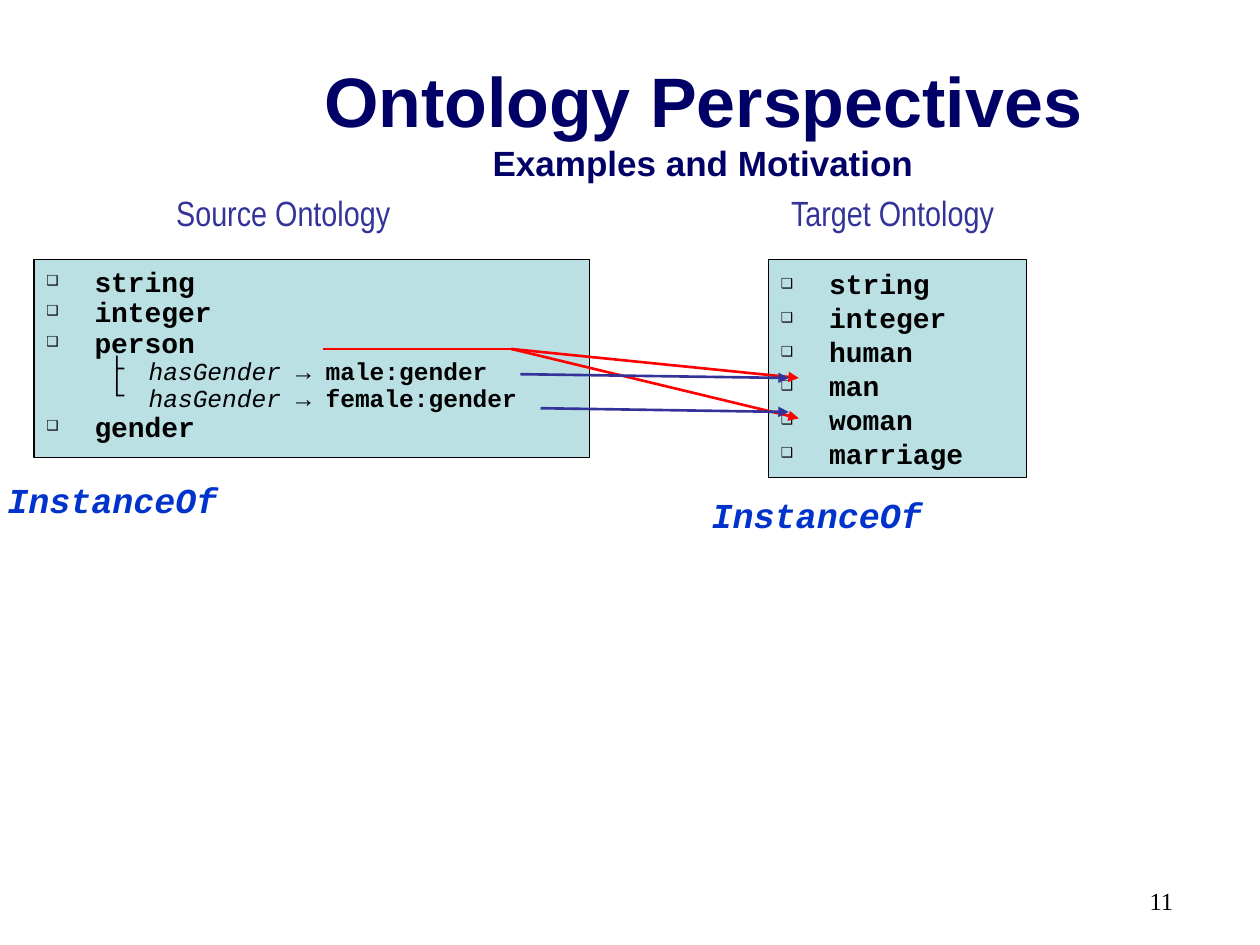
from lxml import etree
from pptx import Presentation
from pptx.dml.color import RGBColor
from pptx.enum.shapes import MSO_CONNECTOR as CONN
from pptx.enum.text import MSO_ANCHOR as ANCHOR, MSO_AUTO_SIZE as FIT, PP_ALIGN as ALIGN
from pptx.oxml.ns import qn
from pptx.util import Inches, Pt

BLACK = RGBColor(0x00, 0x00, 0x00)
PANEL = RGBColor(0xBB, 0xE0, 0xE3)
NAVY = RGBColor(0x00, 0x00, 0x66)
INDIGO = RGBColor(0x33, 0x33, 0x99)
BLUE = RGBColor(0x00, 0x33, 0xCC)
RED = RGBColor(0xFF, 0x00, 0x00)

MONO = "Courier New"
TITLE = dict(name="Arial", size=Pt(40), bold=True, color=NAVY)
SUBTITLE = dict(TITLE, size=Pt(20))
CAPTION = dict(name="Arial Narrow", size=Pt(20), color=INDIGO)
INSTANCE = dict(name=MONO, size=Pt(20), bold=True, italic=True, color=BLUE)
CONCEPT = dict(name=MONO, size=Pt(16), bold=True, italic=False, color=BLACK)
VALUE = dict(CONCEPT, size=Pt(14))
ARROW = dict(VALUE, bold=False)
RELATION = dict(ARROW, italic=True)
NUMBER = dict(name="Times New Roman", size=Pt(14), color=BLACK)

COLS, ROWS = 100, 75
WIDTH, HEIGHT = Inches(10), Inches(7.5)


def col(n):
    return round(n * WIDTH / COLS)


def row(n):
    return round(n * HEIGHT / ROWS)


def place(sp, box):
    sp.left, sp.top, sp.width, sp.height = (
        f(n) for f, n in zip((col, row, col, row), box))


def add_run(p, text, fmt):
    r = p.add_run()
    r.text = text
    for key, value in fmt.items():
        if key == "color":
            r.font.color.rgb = value
        else:
            setattr(r.font, key, value)


def add_bullet(p, char, margin, indent, size):
    pPr = p._p.get_or_add_pPr()
    pPr.set("marL", str(col(margin)))
    pPr.set("indent", str(col(indent)))
    color = etree.SubElement(pPr, qn("a:buClr"))
    etree.SubElement(color, qn("a:srgbClr"), val=str(BLACK))
    etree.SubElement(pPr, qn("a:buSzPct"), val=str(size * 1000))
    etree.SubElement(pPr, qn("a:buFont"), typeface=MONO)
    etree.SubElement(pPr, qn("a:buChar"), char=char)


def add_label(slide, box, text, fmt, wrap=False, align=ALIGN.LEFT):
    sp = slide.shapes.add_textbox(0, 0, 0, 0)
    place(sp, box)
    tf = sp.text_frame
    tf.word_wrap = wrap
    p = tf.paragraphs[0]
    p.alignment = align
    add_run(p, text, fmt)


def add_title(slide, box, title, subtitle):
    sp = slide.shapes.title
    place(sp, box)
    tf = sp.text_frame
    tf.auto_size = FIT.NONE
    tf.vertical_anchor = ANCHOR.MIDDLE
    p = tf.paragraphs[0]
    p.alignment = ALIGN.CENTER
    add_run(p, title, TITLE)
    p.add_line_break()
    add_run(p, subtitle, SUBTITLE)


def add_ontology(slide, idx, box, items, spacing, caption, caption_box, instance_at):
    x, y, w, h = box
    sp = slide.placeholders[idx]
    place(sp, box)
    sp.fill.solid()
    sp.fill.fore_color.rgb = PANEL
    sp.line.color.rgb = BLACK
    sp.line.width = Pt(0.75)
    tf = sp.text_frame
    tf.auto_size = FIT.NONE
    tf.margin_top = row(1.1)
    for i, item in enumerate(items):
        p = tf.add_paragraph() if i else tf.paragraphs[0]
        p.line_spacing = spacing
        nested = isinstance(item, tuple)
        p.space_before = Pt(0 if not i else 3.5 if nested else 4)
        if nested:
            branch, relation, value = item
            p.level = 1
            add_bullet(p, branch, 8.1, -3.1, 100)
            add_run(p, relation, RELATION)
            add_run(p, " → ", ARROW)
            add_run(p, value, VALUE)
        else:
            add_bullet(p, "❑", 3.8, -3.8, 70)
            add_run(p, item, CONCEPT)
    dx, width = caption_box
    add_label(slide, (x + dx, y - 5.9, width, 4.4), caption, CAPTION)
    dx, dy = instance_at
    add_label(slide, (x + dx, y + h + dy, 18.7, 4.4), "InstanceOf", INSTANCE)


def add_mappings(slide, origin, lines):
    x, y = origin
    for x1, y1, x2, y2, color, head in lines:
        c = slide.shapes.add_connector(
            CONN.STRAIGHT, col(x + x1), row(y + y1), col(x + x2), row(y + y2))
        c.line.color.rgb = color
        c.line.width = Pt(1.5)
        if head:
            etree.SubElement(c.line._get_or_add_ln(), qn("a:tailEnd"), type="triangle")
        etree.SubElement(c._element.spPr, qn("a:effectLst"))


def main():
    prs = Presentation()
    prs.slide_width, prs.slide_height = WIDTH, HEIGHT
    s = prs.slides.add_slide(prs.slide_layouts[3])
    add_title(s, (15.8, 3.3, 80, 12.5), "Ontology Perspectives", "Examples and Motivation")
    add_ontology(
        s, 1, (2.7, 20.6, 44.1, 15.7),
        ["string", "integer", "person", ("├", "hasGender", "male:gender"),
         ("└", "hasGender", "female:gender"), "gender"],
        0.7, "Source Ontology", (10.3, 19), (-3.1, 1.2))
    add_ontology(
        s, 2, (61, 20.6, 20.5, 17.3),
        ["string", "integer", "human", "man", "woman", "marriage"],
        0.8, "Target Ontology", (0.8, 18.3), (-5.5, 0.8))
    add_mappings(s, (25.6, 27.7), [
        (15, 0, 37.8, 2.3, RED, True),
        (0, 0, 15, 0, RED, False),
        (15, 0, 37.8, 5.5, RED, True),
        (15.7, 2, 37, 2.3, INDIGO, True),
        (17.3, 4.7, 37, 5, INDIGO, True),
    ])
    add_label(s, (70.8, 69.8, 23.3, 5.2), "11", NUMBER, True, ALIGN.RIGHT)
    prs.save("out.pptx")


if __name__ == "__main__":
    main()
